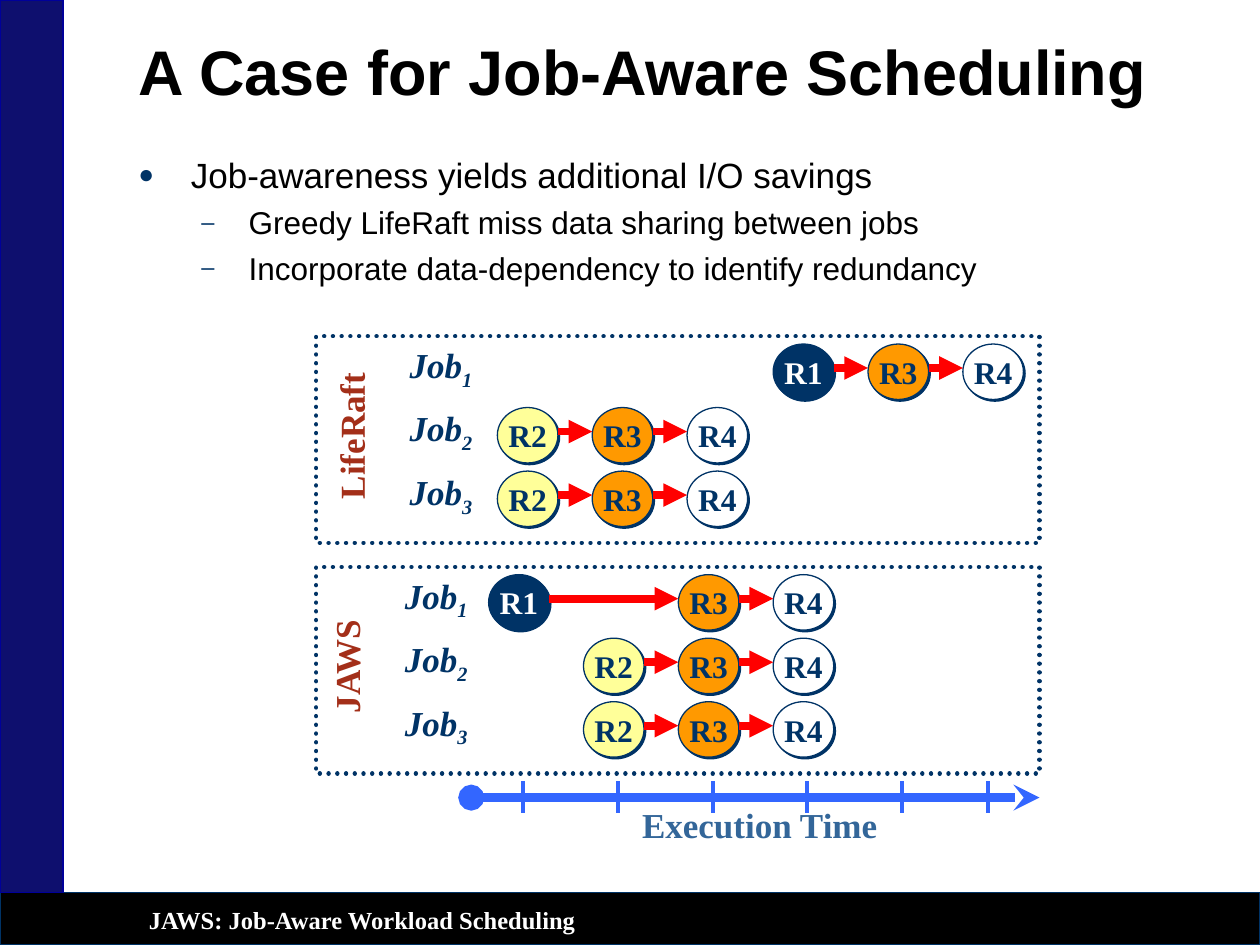
from lxml import etree
from pptx import Presentation
from pptx.dml.color import RGBColor
from pptx.enum.dml import MSO_LINE
from pptx.enum.shapes import MSO_CONNECTOR, MSO_SHAPE
from pptx.enum.text import MSO_ANCHOR, MSO_AUTO_SIZE, PP_ALIGN
from pptx.oxml.ns import qn
from pptx.util import Pt

RECT, OVAL = MSO_SHAPE.RECTANGLE, MSO_SHAPE.OVAL
STRAIGHT = MSO_CONNECTOR.STRAIGHT
MIDDLE, BOTTOM = MSO_ANCHOR.MIDDLE, MSO_ANCHOR.BOTTOM
LEFT, CENTER = PP_ALIGN.LEFT, PP_ALIGN.CENTER
DOTTED, NO_FIT = MSO_LINE.ROUND_DOT, MSO_AUTO_SIZE.NONE

WHITE = RGBColor(0xFF, 0xFF, 0xFF)
BLACK = RGBColor(0, 0, 0)
NAVY = RGBColor(0x00, 0x33, 0x66)
SIDEBAR = RGBColor(0x0E, 0x0F, 0x6E)
SIDEBAR_EDGE = RGBColor(0x00, 0x00, 0x99)
ORANGE = RGBColor(0xFF, 0x99, 0x00)
YELLOW = RGBColor(0xFF, 0xFF, 0x99)
RED = RGBColor(0xFF, 0, 0)
BRICK = RGBColor(0xA3, 0x2F, 0x19)
STEEL = RGBColor(0x33, 0x66, 0x99)
AXIS = RGBColor(0x33, 0x66, 0xFF)
SANS, SERIF = "Arial", "Times New Roman"

TITLE = "A Case for Job-Aware Scheduling"
FOOTER = "JAWS: Job-Aware Workload Scheduling"
# text, size, left margin, hanging indent, space before, bullet
POINTS = [
    ("Job-awareness yields additional I/O savings", 20, 30, 30, 0, "●"),
    ("Greedy LifeRaft miss data sharing between jobs", 18, 63, 27, 4.5, "–"),
    ("Incorporate data-dependency to identify redundancy", 18, 63, 27, 4.5, "–"),
]
REQUEST_COLORS = {  # fill, text
    "R1": (NAVY, WHITE), "R2": (YELLOW, NAVY),
    "R3": (ORANGE, NAVY), "R4": (WHITE, NAVY),
}
# Each job: rightward nudge, then its requests by time slot
SCHEDULES = [
    {"name": "LifeRaft", "top": 192.2, "label_shift": 0, "jobs": [
        (0, {3: "R1", 4: "R3", 5: "R4"}),
        (5, {0: "R2", 1: "R3", 2: "R4"}),
        (5, {0: "R2", 1: "R3", 2: "R4"})]},
    {"name": "JAWS", "top": 324, "label_shift": -2.7, "jobs": [
        (0, {0: "R1", 2: "R3", 3: "R4"}),
        (0, {1: "R2", 2: "R3", 3: "R4"}),
        (0, {1: "R2", 2: "R3", 3: "R4"})]},
]
PANEL_LEFT, PANEL_W, PANEL_H = 180.7, 413.3, 118.1
SLOT_LEFT, SLOT_PITCH, ROW_PITCH = 279.2, 54.2, 36.3
REQUEST_W, REQUEST_H = 34.6, 31.7
AXIS_Y, TICK_TOP, TICK_BOTTOM = 455.8, 446.4, 464.4
TICKS = [298.8 + SLOT_PITCH * slot for slot in range(5)] + [564.5]


def style(run, size, color, font=SERIF, bold=True, italic=False):
    run.font.name, run.font.size = font, Pt(size)
    run.font.bold, run.font.italic = bold, italic
    run.font.color.rgb = color


def add_box(kind, box, fill, line, width=0.75):
    shape = slide.shapes.add_shape(kind, *map(Pt, box))
    shape.shadow.inherit = False
    if fill is None:
        shape.fill.background()
    else:
        shape.fill.solid()
        shape.fill.fore_color.rgb = fill
    shape.line.color.rgb, shape.line.width = line, Pt(width)
    return shape


def add_label(shape, text, size, color, italic=False, subscript=""):
    """Centre one unwrapped line of text in a shape."""
    frame = shape.text_frame
    frame.word_wrap, frame.vertical_anchor = False, MIDDLE
    paragraph = frame.paragraphs[0]
    paragraph.text, paragraph.alignment = text, CENTER
    if subscript:
        lowered = paragraph.add_run()
        lowered.text = subscript
        lowered.font._element.set("baseline", "-25000")
    for run in paragraph.runs:
        style(run, size, color, italic=italic)


def add_line(x1, y1, x2, y2, color, width, head=None, tail=None):
    line = slide.shapes.add_connector(STRAIGHT, *map(Pt, (x1, y1, x2, y2)))
    line.line.color.rgb, line.line.width = color, Pt(width)
    for tag, end in (("a:headEnd", head), ("a:tailEnd", tail)):
        if end:
            etree.SubElement(line.line._get_or_add_ln(), qn(tag), type=end)
    etree.SubElement(line._element.spPr, qn("a:effectLst"))


def add_request(name, left, top):
    fill, color = REQUEST_COLORS[name]
    request = add_box(OVAL, (left, top, REQUEST_W, REQUEST_H), fill, NAVY)
    effects = request._element.spPr.find(qn("a:effectLst"))
    shadow = etree.SubElement(effects, qn("a:outerShdw"), dist=str(Pt(1.4)),
                              dir="2700000", algn="ctr", rotWithShape="0")
    etree.SubElement(shadow, qn("a:srgbClr"), val=str(NAVY))
    add_label(request, name, 18, color)


def add_bullet(paragraph, char, margin, hanging):
    props = paragraph._p.get_or_add_pPr()
    props.set("marL", str(Pt(margin)))
    props.set("indent", str(-Pt(hanging)))
    color = etree.SubElement(props, qn("a:buClr"))
    etree.SubElement(color, qn("a:srgbClr"), val=str(NAVY))
    etree.SubElement(props, qn("a:buSzPct"), val="75000")
    etree.SubElement(props, qn("a:buFont"), typeface=SANS)
    etree.SubElement(props, qn("a:buChar"), char=char)


def add_schedule(schedule):
    top, shift = schedule["top"], schedule["label_shift"]
    name = add_box(RECT, (162 + shift, top + 34.6, 77, 44.6), WHITE, WHITE)
    name.rotation = 270
    add_label(name, schedule["name"], 20, BRICK)
    for row, (nudge, requests) in enumerate(schedule["jobs"]):
        y = top + 4.4 + ROW_PITCH * row
        job = add_box(RECT, (230 + shift, y + 4.3, 43.9, 18), WHITE, WHITE)
        add_label(job, "Job", 20, NAVY, italic=True, subscript=str(row + 1))
        lefts = [SLOT_LEFT + nudge + SLOT_PITCH * slot for slot in requests]
        for left, request in zip(lefts, requests.values()):
            add_request(request, left, y)
        for left, following in zip(lefts, lefts[1:]):
            add_line(left + REQUEST_W, y + 13.7, following, y + 13.7,
                     RED, 4.5, tail="triangle")
    panel = add_box(RECT, (PANEL_LEFT, top, PANEL_W, PANEL_H), None, NAVY, 2.5)
    panel.line.dash_style = DOTTED
    panel.line._get_or_add_ln().set("cap", "rnd")


prs = Presentation()
prs.slide_width, prs.slide_height = Pt(720), Pt(540)
slide = prs.slides.add_slide(prs.slide_layouts[5])

add_box(RECT, (0, 510, 720, 30), BLACK, NAVY)
add_box(RECT, (0, 0, 36, 510), SIDEBAR, SIDEBAR_EDGE)
footer = slide.shapes.add_textbox(Pt(78), Pt(513.5), Pt(486), Pt(24.5)).text_frame
footer.word_wrap = True
footer.text = FOOTER
style(footer.paragraphs[0].runs[0], 14, WHITE)

title = slide.shapes.title
title.left, title.top, title.width, title.height = map(Pt, (72, 18, 630, 48))
heading = title.text_frame
heading.text = TITLE
heading.word_wrap, heading.auto_size = True, NO_FIT
heading.vertical_anchor = BOTTOM
heading.paragraphs[0].alignment = LEFT
heading.paragraphs[0].line_spacing = 0.9
style(heading.paragraphs[0].runs[0], 36, BLACK, SANS)

body = slide.shapes.add_textbox(Pt(72), Pt(84), Pt(623.5), Pt(162)).text_frame
body.word_wrap = True
for index, (text, size, margin, hanging, before, char) in enumerate(POINTS):
    point = body.add_paragraph() if index else body.paragraphs[0]
    point.text = text
    add_bullet(point, char, margin, hanging)
    if before:
        point.space_before = Pt(before)
    style(point.runs[0], size, BLACK, SANS, bold=False)

axis_label = add_box(RECT, (392.4, 450.7, 83.5, 41), WHITE, WHITE)
add_label(axis_label, "Execution Time", 20, STEEL)
add_line(269.3, AXIS_Y, 594, AXIS_Y, AXIS, 5, head="oval", tail="stealth")
for schedule in SCHEDULES:
    add_schedule(schedule)
for x in TICKS:
    add_line(x, TICK_BOTTOM, x, TICK_TOP, AXIS, 2.25)

prs.save("out.pptx")
